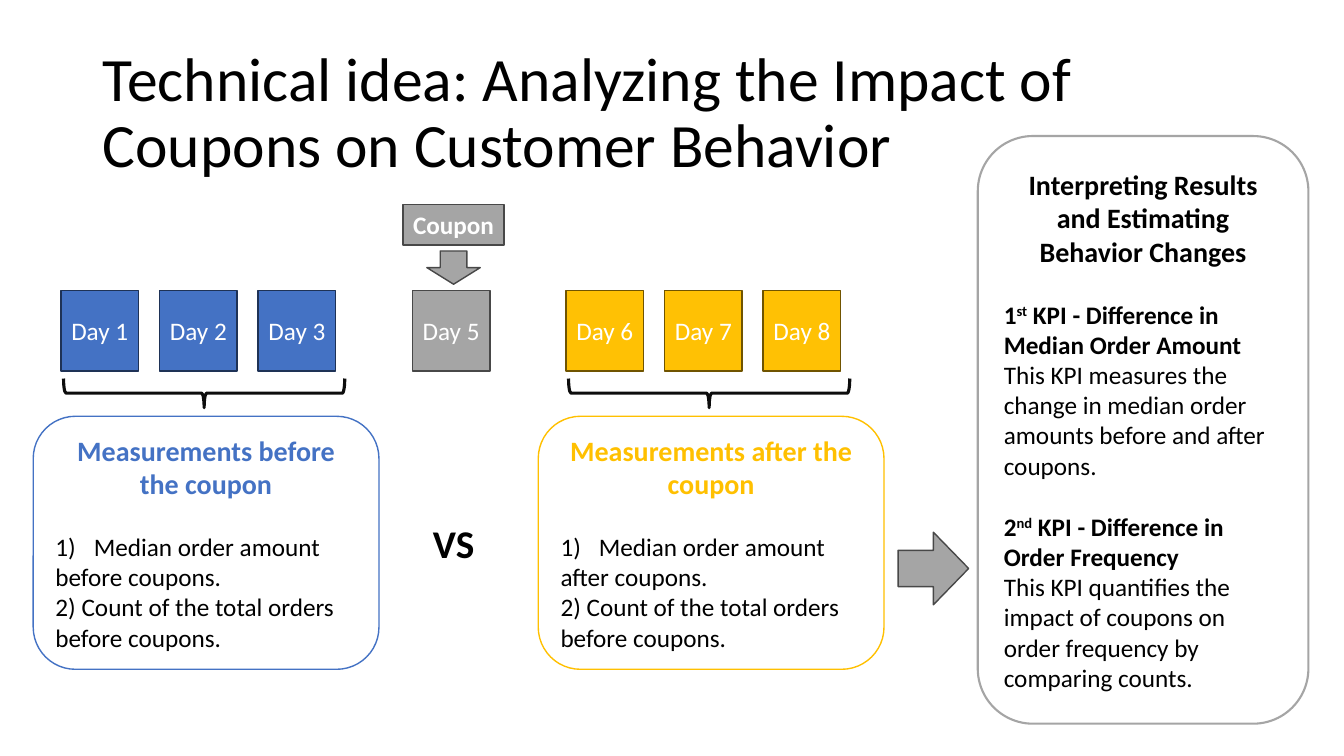
from pptx import Presentation
from pptx.util import Inches, Pt
from pptx.dml.color import RGBColor
from pptx.enum.shapes import MSO_SHAPE as Form
from pptx.enum.text import MSO_ANCHOR as Anchor, PP_ALIGN as Align
from lxml.etree import SubElement as Sub
from pptx.oxml.ns import qn

BLACK = RGBColor(0x00, 0x00, 0x00)
WHITE = RGBColor(0xFF, 0xFF, 0xFF)
BLUE = RGBColor(0x44, 0x72, 0xC4)
NAVY = RGBColor(0x1E, 0x32, 0x56)
GRAY = RGBColor(0xA5, 0xA5, 0xA5)
DARK = RGBColor(0x48, 0x48, 0x48)
GOLD = RGBColor(0xFF, 0xC1, 0x04)
AMBER = RGBColor(0xFF, 0xC0, 0x00)
BROWN = RGBColor(0x70, 0x54, 0x00)
INK = RGBColor(0x0D, 0x0D, 0x0D)

CELL = Inches(0.1)
WIDE, HIGH = 133.33, 75
DAY_W, DAY_H, STEP = 7.7, 8, 9.78
LINE = 22


def place(box, x, y, w, h):
    return box[0] + x, box[1] + y, w, h


def scale(box):
    return [round(v * CELL) for v in box]


def draw(slide, form, box, fill, edge, width=1):
    shape = slide.shapes.add_shape(form, *scale(box))
    shape.shadow.inherit = False
    if fill is None:
        shape.fill.background()
    else:
        shape.fill.solid()
        shape.fill.fore_color.rgb = fill
    shape.line.color.rgb = edge
    shape.line.width = Pt(width)
    return shape


def style(para, size, color, bold=False, align=Align.LEFT, gap=0):
    para.alignment = align
    para.space_before = Pt(gap)
    for run in para.runs:
        font = run.font
        font.name, font.size, font.bold = "Calibri", Pt(size), bold
        font.color.rgb = color


def label(shape, text, size, color, bold=False, wrap=False):
    frame = shape.text_frame
    frame.text = text
    frame.word_wrap = wrap
    frame.vertical_anchor = Anchor.MIDDLE
    style(frame.paragraphs[0], size, color, bold, Align.CENTER)


def panel(slide, box, edge, width, head, color, lines):
    shape = draw(slide, Form.ROUNDED_RECTANGLE, box, WHITE, edge, width)
    label(shape, head, 20, color, True, True)
    paras = []
    for text, bold, gap in lines:
        para = shape.text_frame.add_paragraph()
        for i, part in enumerate(text.split("^")):
            run = para.add_run()
            run.text = part
            if i % 2:
                run._r.get_or_add_rPr().set("baseline", "30000")
        style(para, 18, BLACK, bold, gap=gap)
        paras.append(para)
    return paras


def number(para):
    props = para._p.get_or_add_pPr()
    props.set("marL", str(Inches(0.38)))
    props.set("indent", str(-Inches(0.38)))
    Sub(props, qn("a:buFont"), typeface="+mj-lt")
    Sub(props, qn("a:buAutoNum"), type="arabicParenR")


def day(slide, box, num, fill, edge):
    label(draw(slide, Form.RECTANGLE, box, fill, edge), f"Day {num}", 18, WHITE)


def phase(slide, box, days, fill, edge, tint, when):
    for i, num in enumerate(days):
        day(slide, place(box, 2.75 + i * STEP, 0, DAY_W, DAY_H), num, fill, edge)
    brace = draw(slide, Form.RIGHT_BRACE, place(box, 15.5, -3.75, 2.9, 27.9), None, INK, 2.25)
    brace.rotation = 90
    lines = [("Median order amount", False, LINE),
             (f"{when} coupons.", False, 0),
             ("2) Count of the total orders before coupons.", False, 0)]
    top = 12.5
    paras = panel(slide, place(box, 0, top, box[2], box[3] - top), tint, 1,
                  f"Measurements {when} the coupon", tint, lines)
    number(paras[0])


def coupon(slide, box):
    tag = draw(slide, Form.RECTANGLE, place(box, 0, 0, box[2], 4), GRAY, DARK)
    label(tag, "Coupon", 18, WHITE, True)
    draw(slide, Form.DOWN_ARROW, place(box, 2.35, 4.6, 5.3, 3.3), GRAY, DARK)
    day(slide, place(box, 0.9, 8.5, DAY_W, DAY_H), 5, GRAY, DARK)
    text = slide.shapes.add_textbox(*scale(place(box, 1.9, 30.7, 6.2, 5.7)))
    label(text, "VS", 28, BLACK, True)


def result(slide, box):
    draw(slide, Form.RIGHT_ARROW, place(box, 0, 39.3, 7, 7.2), GRAY, DARK)
    lines = [
        ("1^st^ KPI - Difference in Median Order Amount", True, LINE),
        ("This KPI measures the change in median order amounts "
         "before and after coupons.", False, 0),
        ("2^nd^ KPI - Difference in", True, LINE),
        ("Order Frequency", True, 0),
        ("This KPI quantifies the impact of coupons on order frequency "
         "by comparing counts.", False, 0)]
    panel(slide, place(box, 7.9, 0, box[2] - 7.9, box[3]), GRAY, 1.5,
          "Interpreting Results and Estimating Behavior Changes", BLACK, lines)


def title(slide, box):
    text = slide.shapes.add_textbox(*scale(box))
    label(text, "Technical idea: Analyzing the Impact of Coupons on Customer Behavior",
          44, BLACK, wrap=True)
    para = text.text_frame.paragraphs[0]
    para.alignment = Align.LEFT
    para.line_spacing = 0.9


deck = Presentation()
deck.slide_width, deck.slide_height = scale((WIDE, HIGH))
page = deck.slides.add_slide(deck.slide_layouts[6])
phase(page, (3.3, 28.8, 34.3, 37.6), (1, 2, 3), BLUE, NAVY, BLUE, "before")
phase(page, (53.4, 28.8, 34.3, 37.6), (6, 7, 8), GOLD, BROWN, AMBER, "after")
coupon(page, (40, 20.3, 10, 36.4))
result(page, (89.1, 13.5, 40.7, 58.3))
title(page, (9.2, 4.1, 115, 14.5))
deck.save("out.pptx")
